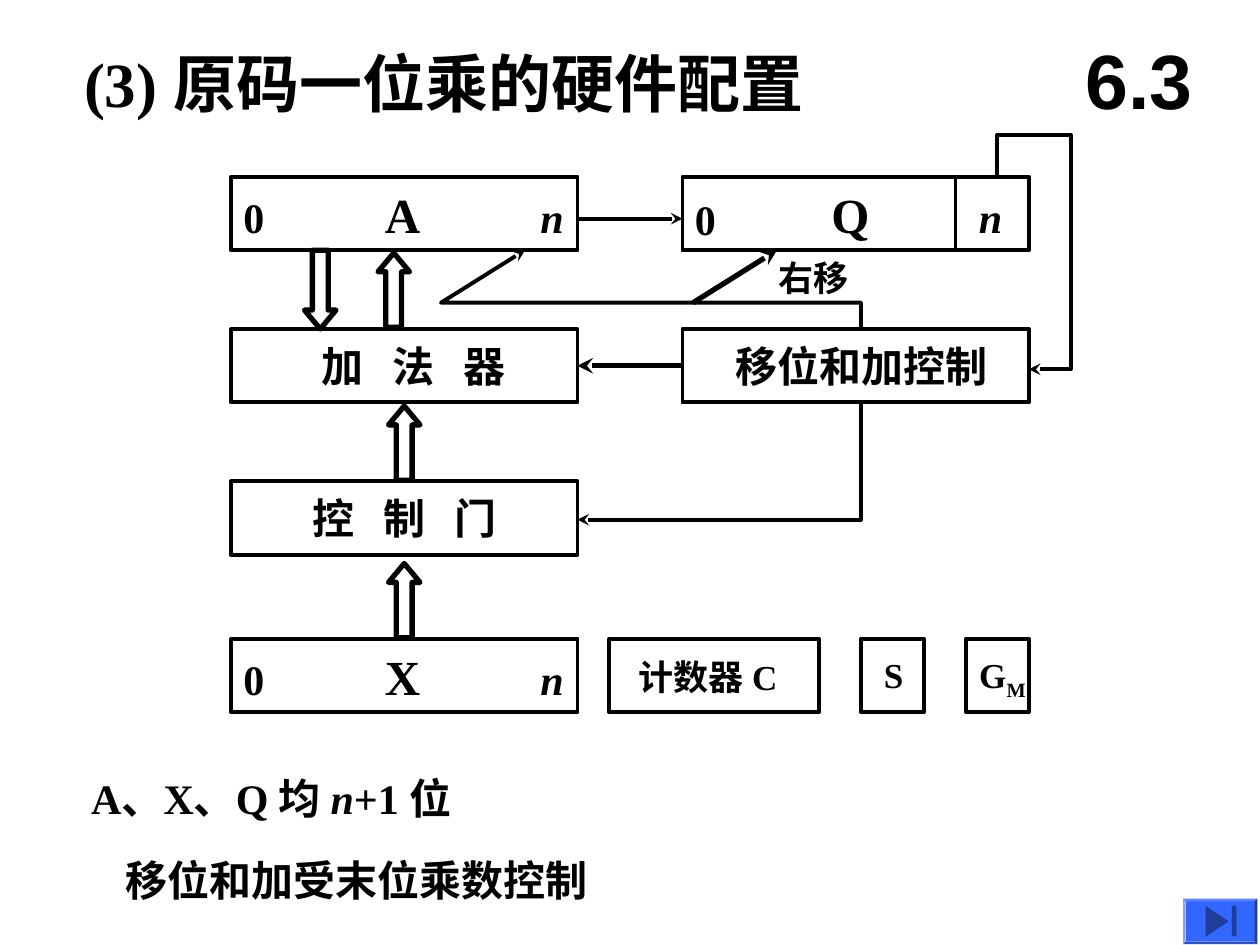
from lxml import etree
from pptx import Presentation
from pptx import util as u
from pptx.dml.color import RGBColor
from pptx.enum import shapes, text
from pptx.oxml import ns

Pt = u.Pt
BLACK = RGBColor(0, 0, 0)
BLUE = RGBColor(0x33, 0x66, 0xFF)
NAVY = RGBColor(0x1F, 0x3D, 0x99)
SERIF = "Times New Roman"
MS = shapes.MSO_SHAPE
LEFT, CENTER = text.PP_ALIGN.LEFT, text.PP_ALIGN.CENTER

prs = Presentation()
prs.slide_width, prs.slide_height = Pt(720), Pt(540)
s = prs.slides.add_slide(prs.slide_layouts[6])


def write(sp, runs, align=LEFT, tabs=(), wrap=False, font=SERIF):
    tf = sp.text_frame
    tf.word_wrap = wrap
    p = tf.paragraphs[0]
    p.alignment = align
    if tabs:
        lst = etree.SubElement(p._p.get_or_add_pPr(), ns.qn("a:tabLst"))
        for pos, kind in tabs:
            etree.SubElement(lst, ns.qn("a:tab"), pos=str(int(Pt(pos))), algn=kind)
    p.font.name, p.font.bold = font, True
    p.font.color.rgb = BLACK
    for words, size, italic in runs:
        r = p.add_run()
        r.text = words
        r.font.size = Pt(size)
        if italic:
            r.font.italic = True
    return p


def stroke(sp, width, arrow=False):
    sp.line.color.rgb = BLACK
    sp.line.width = Pt(width)
    if arrow:
        etree.SubElement(sp.line._get_or_add_ln(), ns.qn("a:tailEnd"), type="stealth")


COL_A, COL_Q, BOX_W, BOX_H = 132, 390, 198, 42
ROW_1, ROW_2, ROW_3, ROW_4 = 101, 188, 275, 365

register_tabs = [(91, "ctr"), (183, "r")]
boxes = [
    (COL_A, ROW_1, BOX_W, [("0", 24, False), ("\tA\t", 28, False), ("n", 24, True)], register_tabs),
    (COL_A, ROW_2, BOX_W, [("\t加\t法\t器", 24, False)], [(56.5 + 40.5 * i, "ctr") for i in range(3)]),
    (COL_A, ROW_3, BOX_W, [("\t控\t制\t门", 24, False)], [(51.5 + 40.5 * i, "ctr") for i in range(3)]),
    (COL_A, ROW_4, BOX_W, [("0", 24, False), ("\tX\t", 28, False), ("n", 24, True)], register_tabs),
    (COL_Q, ROW_1, BOX_W, [], []),
    (COL_Q, ROW_2, BOX_W, [("\t移位和加控制", 24, False)], [(95, "ctr")]),
    (348, ROW_4, 120, [], []),
    (492, ROW_4, 36, [], []),
    (552, ROW_4, 36, [], []),
]
for x, y, w, runs, tabs in boxes:
    sp = s.shapes.add_shape(MS.RECTANGLE, Pt(x), Pt(y), Pt(w), Pt(BOX_H))
    sp.shadow.inherit = False
    sp.fill.background()
    stroke(sp, 2.25)
    if runs:
        sp.text_frame.vertical_anchor = text.MSO_ANCHOR.MIDDLE
        write(sp, runs, tabs=tabs, wrap=True)

for x, y, h, turn in [(216, 144.5, 42.5, 0), (174, 143, 45, 180), (222, 232, 42.5, 0), (222, 322, 42.5, 0)]:
    sp = s.shapes.add_shape(MS.UP_ARROW, Pt(x), Pt(y), Pt(18), Pt(h))
    sp.shadow.inherit = False
    sp.fill.background()
    sp.rotation = turn
    sp.adjustments[0], sp.adjustments[1] = 0.5, 0.6
    stroke(sp, 3)

lines = [
    (546, 101, 546, 143, 2.25, False),
    (396, 173, 444, 143, 3, True),
    (390, 209, 330, 209, 3, True),
    (330, 125, 390, 125, 2.25, True),
]
for x1, y1, x2, y2, width, arrow in lines:
    sp = s.shapes.add_connector(shapes.MSO_CONNECTOR.STRAIGHT, Pt(x1), Pt(y1), Pt(x2), Pt(y2))
    stroke(sp, width, arrow)
    etree.SubElement(sp._element.spPr, ns.qn("a:effectLst"))

routes = [
    [(492, 188), (492, 173), (252, 173), (300, 143)],
    [(570, 101), (570, 77), (612, 77), (612, 211), (588, 211)],
    [(492, 231), (492, 297), (330, 297)],
]
for route in routes:
    points = [(Pt(x), Pt(y)) for x, y in route]
    fb = s.shapes.build_freeform(*points[0], scale=1)
    fb.add_line_segments(points[1:], close=False)
    sp = fb.convert_to_shape()
    sp.shadow.inherit = False
    sp.fill.background()
    stroke(sp, 2.25, True)

labels = [
    (41, 22, 487, 50, [("(3) 原码一位乘的硬件配置", 36, False)], []),
    (45, 438, 270, 36, [("A、X、Q 均 ", 24, False), ("n", 24, True), ("+1 位", 24, False)], []),
    (64.5, 484.5, 300, 36, [("移位和加受末位乘数控制", 24, False)], []),
    (358, 371, 110, 32, [("计数器 C", 20, False)], []),
    (498, 370, 30, 32, [("S", 20, False)], []),
    (390, 107, 30, 36, [("0", 24, False)], []),
    (468, 102, 120, 41, [("Q\t", 28, False), ("n", 24, True)], [(91, "ctr")]),
    (438, 143, 84, 32, [("右移", 20, False)], []),
]
for x, y, w, h, runs, tabs in labels:
    sp = s.shapes.add_textbox(Pt(x), Pt(y), Pt(w), Pt(h))
    write(sp, runs, tabs=tabs, wrap=True)

sp = s.shapes.add_textbox(Pt(552.5), Pt(370), Pt(50), Pt(34.5))
p = write(sp, [("G", 20, False), ("M", 20, False)], wrap=True)
p.runs[1].font._element.set("baseline", "-25000")

sp = s.shapes.add_textbox(Pt(606), Pt(12), Pt(90), Pt(66))
sp.text_frame.vertical_anchor = text.MSO_ANCHOR.MIDDLE
write(sp, [("6.3", 44, False)], align=CENTER, wrap=True, font="Arial")

button = [
    (MS.BEVEL, 676, 513.5, 42.5, 26, 0, BLUE),
    (MS.ISOSCELES_TRIANGLE, 686.75, 520, 17.5, 13, 90, NAVY),
    (MS.RECTANGLE, 704, 517.5, 2.5, 17.5, 0, NAVY),
]
for kind, x, y, w, h, turn, color in button:
    sp = s.shapes.add_shape(kind, Pt(x), Pt(y), Pt(w), Pt(h))
    sp.shadow.inherit = False
    sp.rotation = turn
    sp.fill.solid()
    sp.fill.fore_color.rgb = color
    sp.line.fill.background()
    if kind == MS.BEVEL:
        sp.adjustments[0] = 0.06

prs.save("out.pptx")
